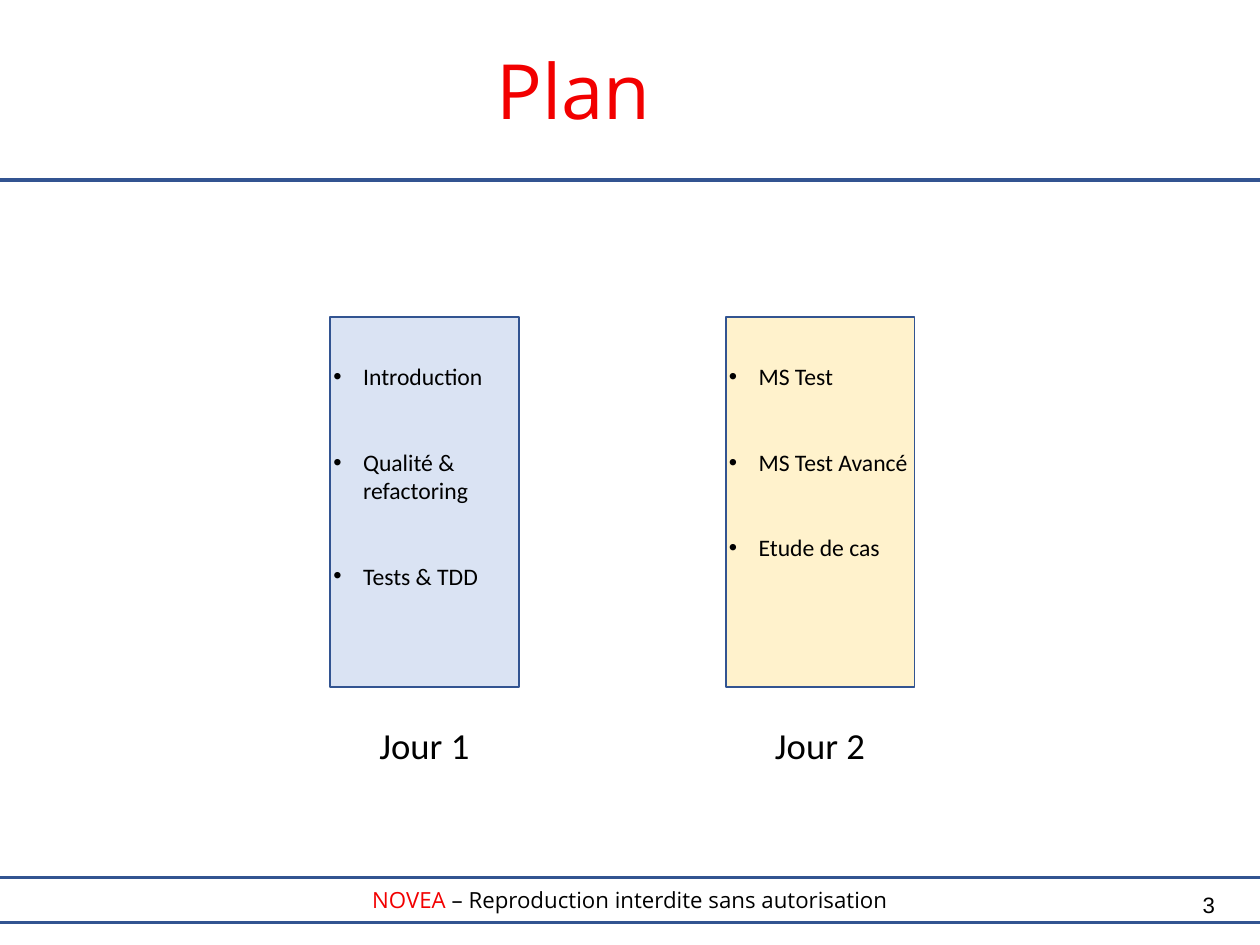
from lxml.etree import SubElement
from pptx import Presentation
from pptx.dml.color import RGBColor
from pptx.enum.shapes import MSO_CONNECTOR, MSO_SHAPE
from pptx.enum.text import MSO_ANCHOR, MSO_AUTO_SIZE, PP_ALIGN
from pptx.oxml.ns import qn
from pptx.util import Cm, Pt

BLUE, RED, BLACK = "325491", "F20000", "000000"


def rgb(value):
    return RGBColor.from_string(value)


def apply(target, values):
    for name, value in values.items():
        setattr(target, name, value)


class PlanSlide:
    styles = {
        "title": {"name": "Open Sans", "size": Pt(48), "bold": False},
        "footer": {"name": "Open Sans", "size": Pt(14)},
        "number": {"name": "Arial", "size": Pt(14)},
        "day": {"name": "Calibri", "size": Pt(23.1)},
        "topic": {"name": "Calibri", "size": Pt(14.9)},
    }

    def __init__(self, prs):
        self.slide = prs.slides.add_slide(prs.slide_layouts[5])
        self.shapes = self.slide.shapes

    def place(self, sp, box):
        apply(sp, dict(zip(("left", "top", "width", "height"), map(Cm, box))))

    def frame(self, sp, margins=(0.25, 0.13), anchor=MSO_ANCHOR.TOP):
        side, edge = map(Cm, margins)
        tf = sp.text_frame
        apply(tf, {
            "word_wrap": True, "auto_size": MSO_AUTO_SIZE.NONE,
            "vertical_anchor": anchor,
            "margin_left": side, "margin_right": side,
            "margin_top": edge, "margin_bottom": edge,
        })
        return tf

    def add_runs(self, p, runs, style, align=PP_ALIGN.CENTER):
        p.alignment = align
        for text, color in runs:
            r = p.add_run()
            r.text = text
            apply(r.font, self.styles[style])
            r.font.color.rgb = rgb(color)

    def title(self, text, box):
        sp = self.shapes.title
        self.place(sp, box)
        tf = self.frame(sp, (0, 0), MSO_ANCHOR.MIDDLE)
        self.add_runs(tf.paragraphs[0], [(text, RED)], "title")

    def rect(self, box, width, fill=None):
        sp = self.shapes.add_shape(MSO_SHAPE.RECTANGLE, *map(Cm, box))
        sp.shadow.inherit = False
        if fill:
            sp.fill.solid()
            sp.fill.fore_color.rgb = rgb(fill)
        else:
            sp.fill.background()
        sp.line.color.rgb = rgb(BLUE)
        sp.line.width = Pt(width)
        return sp

    def rule(self, y, length, width):
        ends = map(Cm, (0, y, length, y))
        sp = self.shapes.add_connector(MSO_CONNECTOR.STRAIGHT, *ends)
        sp.line.color.rgb = rgb(BLUE)
        sp.line.width = Pt(width)
        SubElement(sp._element.spPr, qn("a:effectLst"))

    def footer(self, runs, box):
        sp = self.rect(box, 1.42)
        tf = self.frame(sp, (0.03, 0.03), MSO_ANCHOR.MIDDLE)
        self.add_runs(tf.paragraphs[0], runs, "footer")

    def text(self, text, box, style, align=PP_ALIGN.CENTER, margins=(0.25, 0.13)):
        tf = self.frame(self.shapes.add_textbox(*map(Cm, box)), margins)
        self.add_runs(tf.paragraphs[0], [(text, BLACK)], style, align)

    def bullets(self, items, box):
        tf = self.frame(self.shapes.add_textbox(*map(Cm, box)))
        for i, item in enumerate(items):
            p = tf.add_paragraph() if i else tf.paragraphs[0]
            self.add_runs(p, [(item, BLACK)], "topic", PP_ALIGN.LEFT)
            p.space_before = Pt(36 if i else 0)
            pPr = p._p.get_or_add_pPr()
            pPr.set("marL", str(Cm(0.66)))
            pPr.set("indent", str(-Cm(0.66)))
            SubElement(pPr, qn("a:buFont"), typeface="Arial")
            SubElement(pPr, qn("a:buChar"), char="•")


prs = Presentation()
apply(prs, {"slide_width": Cm(28), "slide_height": Cm(21)})

plan = PlanSlide(prs)
plan.footer([("NOVEA", RED), (" – Reproduction interdite sans autorisation", BLACK)],
            (-0.5, 19.5, 29, 1))
plan.rule(4, 28, 2.83)
plan.text("3", (26, 19.81, 1, 1.07), "number", PP_ALIGN.RIGHT, (0, 0))
plan.title("Plan", (1, 0.94, 23.5, 2.06))

days = [
    ("Jour 1", "DAE3F3", ["Introduction", "Qualité & refactoring", "Tests & TDD"]),
    ("Jour 2", "FFF2CC", ["MS Test", "MS Test Avancé", "Etude de cas"]),
]
for i, (day, fill, topics) in enumerate(days):
    x = 7.34 + 8.79 * i
    plan.rect((x, 7.04, 4.19, 8.23), 1, fill)
    plan.text(day, (x, 15.93, 4.19, 1.24), "day")
    plan.bullets(topics, (x - 0.18, 7.92, 4.55, 5.33))

prs.save("out.pptx")
